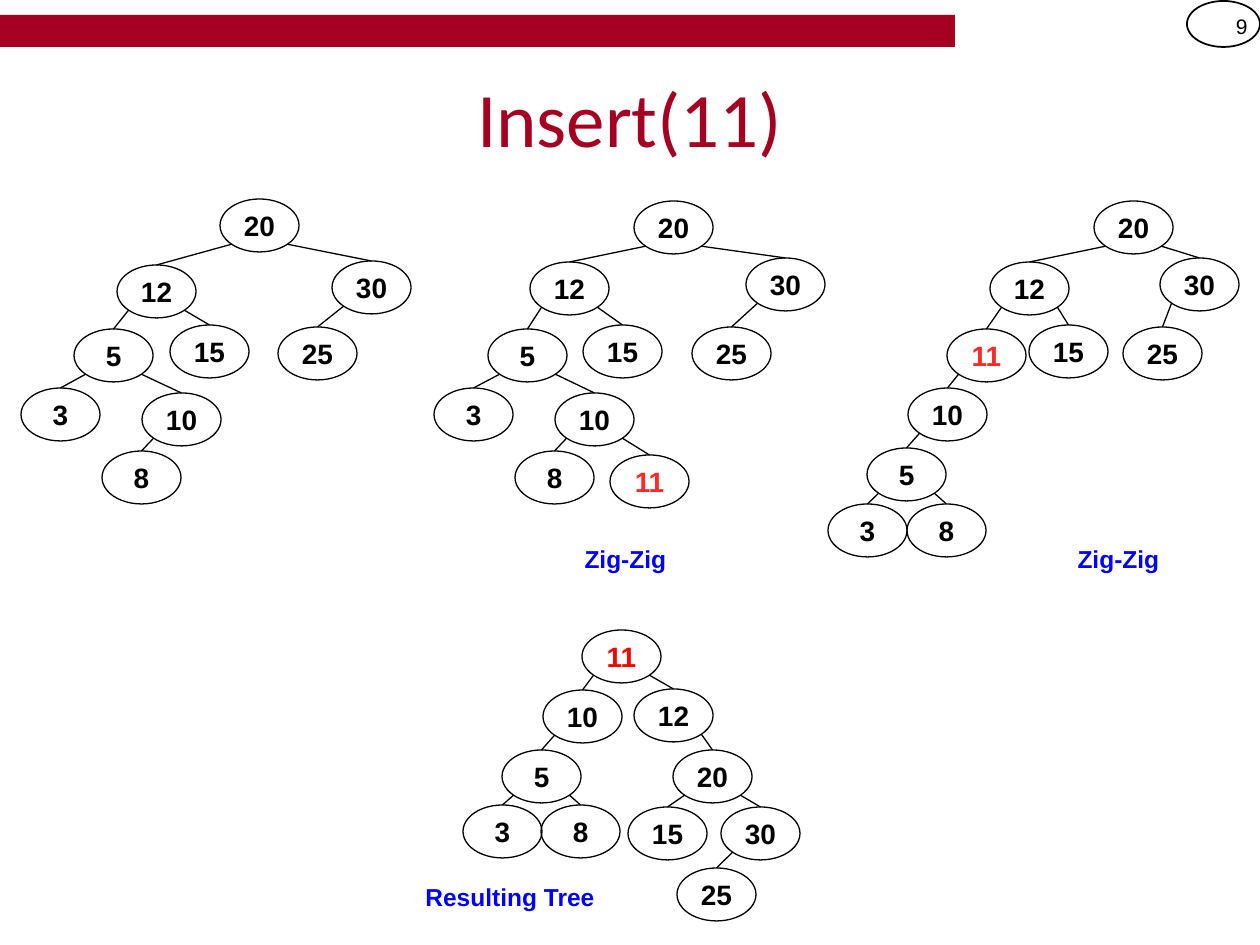
from lxml import etree
from pptx import Presentation
from pptx import util as u
from pptx.dml.color import RGBColor
from pptx.enum import shapes, text
from pptx.oxml.ns import qn

CRIMSON = RGBColor(0xA5, 0x00, 0x21)
BLACK = RGBColor(0x00, 0x00, 0x00)
BLUE = RGBColor(0x00, 0x00, 0xFF)
LIGHT_RED = RGBColor(0xFF, 0x29, 0x29)
RED = RGBColor(0xFF, 0x00, 0x00)

PX = u.Inches(1) / 126
NODE_W, NODE_H = 79, 53
DIAGONAL = 0.5 ** 0.5
CENTER, RIGHT, LEFT = (text.PP_ALIGN.CENTER, text.PP_ALIGN.RIGHT,
                       text.PP_ALIGN.LEFT)

# Each tree: key -> (left, top, parent key)
BEFORE = {
    20: (220, 199, None), 30: (332, 261, 20), 12: (117, 265, 20),
    15: (170, 325, 12), 25: (278, 327, 30), 5: (74, 329, 12),
    3: (21, 388, 5), 10: (142, 393, 5), 8: (102, 451, 10),
}
INSERTED = {
    20: (634, 201, None), 30: (746, 258, 20), 12: (530, 262, 20),
    15: (583, 325, 12), 25: (692, 327, 30), 5: (488, 329, 12),
    3: (434, 388, 5), 10: (555, 393, 5), 8: (515, 451, 10),
    11: (610, 455, 10),
}
ROTATED = {
    20: (1094, 201, None), 30: (1160, 258, 20), 12: (990, 262, 20),
    15: (1029, 325, 12), 25: (1123, 327, 30), 11: (947, 329, 12),
    10: (908, 388, 11), 5: (867, 448, 10), 3: (828, 504, 5),
    8: (907, 504, 5),
}
RESULT = {
    11: (582, 630, None), 12: (634, 689, 11), 10: (543, 690, 11),
    5: (502, 750, 10), 20: (673, 750, 12), 3: (463, 805, 5),
    8: (541, 805, 5), 15: (628, 807, 20), 30: (721, 807, 20),
    25: (677, 868, 30),
}


def px(*lengths):
    return [u.Emu(round(length * PX)) for length in lengths]


def write(shape, words, size, color=BLACK, font="Arial", bold=False,
          align=CENTER, anchor=text.MSO_ANCHOR.MIDDLE, side_inset=None):
    frame = shape.text_frame
    frame.word_wrap = True
    frame.vertical_anchor = anchor
    if side_inset is not None:
        frame.margin_left = frame.margin_right = side_inset
    paragraph = frame.paragraphs[0]
    paragraph.alignment = align
    run = paragraph.add_run()
    run.text = words
    run.font.size = u.Pt(size)
    run.font.name = font
    run.font.bold = bold
    run.font.color.rgb = color


def add_outline(parts, kind, box, fill=None, line_width=None):
    shape = parts.add_shape(kind, *px(*box))
    shape.shadow.inherit = False
    if fill is None:
        shape.fill.background()
    else:
        shape.fill.solid()
        shape.fill.fore_color.rgb = fill
    if line_width is None:
        shape.line.fill.background()
    else:
        shape.line.color.rgb = BLACK
        shape.line.width = u.Pt(line_width)
    return shape


def add_label(parts, words, box, **style):
    write(parts.add_textbox(*px(*box)), words, **style)


def add_caption(parts, words, left, top, align=CENTER):
    add_label(parts, words, (left, top, 213, 43), size=14, color=BLUE,
              bold=True, align=align, anchor=text.MSO_ANCHOR.TOP)


def add_edge(parts, parent, child):
    """Run from the parent's lower diagonal to the top of the child."""
    side = -1 if child.left < parent.left else 1
    start_x = parent.left + round(parent.width / 2 * (1 + side * DIAGONAL))
    start_y = parent.top + round(parent.height / 2 * (1 + DIAGONAL))
    edge = parts.add_connector(shapes.MSO_CONNECTOR.STRAIGHT, start_x, start_y,
                               child.left + child.width // 2, child.top)
    edge.end_connect(child, 0)
    edge.line.color.rgb = BLACK
    edge.line.width = u.Pt(0.75)
    etree.SubElement(edge._element.spPr, qn("a:effectLst"))


def add_tree(parts, tree, new_color=BLACK):
    nodes = {}
    for key, (left, top, parent) in tree.items():
        node = add_outline(parts, shapes.MSO_SHAPE.OVAL,
                           (left, top, NODE_W, NODE_H), line_width=0.75)
        write(node, str(key), size=16, bold=True, side_inset=0,
              color=new_color if key == 11 else BLACK)
        nodes[key] = node
        if parent is not None:
            add_edge(parts, nodes[parent], node)


def main():
    deck = Presentation()
    deck.slide_width, deck.slide_height = u.Inches(10), u.Inches(7.5)
    slide = deck.slides.add_slide(deck.slide_layouts[5])
    parts = slide.shapes

    # Header band and page number
    add_outline(parts, shapes.MSO_SHAPE.RECTANGLE, (0, 15, 955, 32),
                fill=CRIMSON)
    add_outline(parts, shapes.MSO_SHAPE.OVAL, (1187, 1, 73, 46), line_width=1)
    add_label(parts, "9", (1187, 1, 73, 50), size=12, align=RIGHT)

    # Title
    title = parts.title
    title.left, title.top, title.width, title.height = px(63, 38, 1134, 157)
    write(title, "Insert(11)", size=44, color=CRIMSON, font="Calibri")

    # Trees, from the starting one to the result
    add_tree(parts, BEFORE)

    inserted = parts.add_group_shape().shapes
    add_tree(inserted, INSERTED, LIGHT_RED)
    add_caption(inserted, "Zig-Zig", 519, 538)

    rotated = parts.add_group_shape().shapes
    add_tree(rotated, ROTATED, LIGHT_RED)
    add_caption(rotated, "Zig-Zig", 1012, 538)

    result = parts.add_group_shape().shapes
    add_tree(result, RESULT, RED)
    add_caption(result, "Resulting Tree", 413, 876, align=LEFT)

    deck.save("out.pptx")


main()
